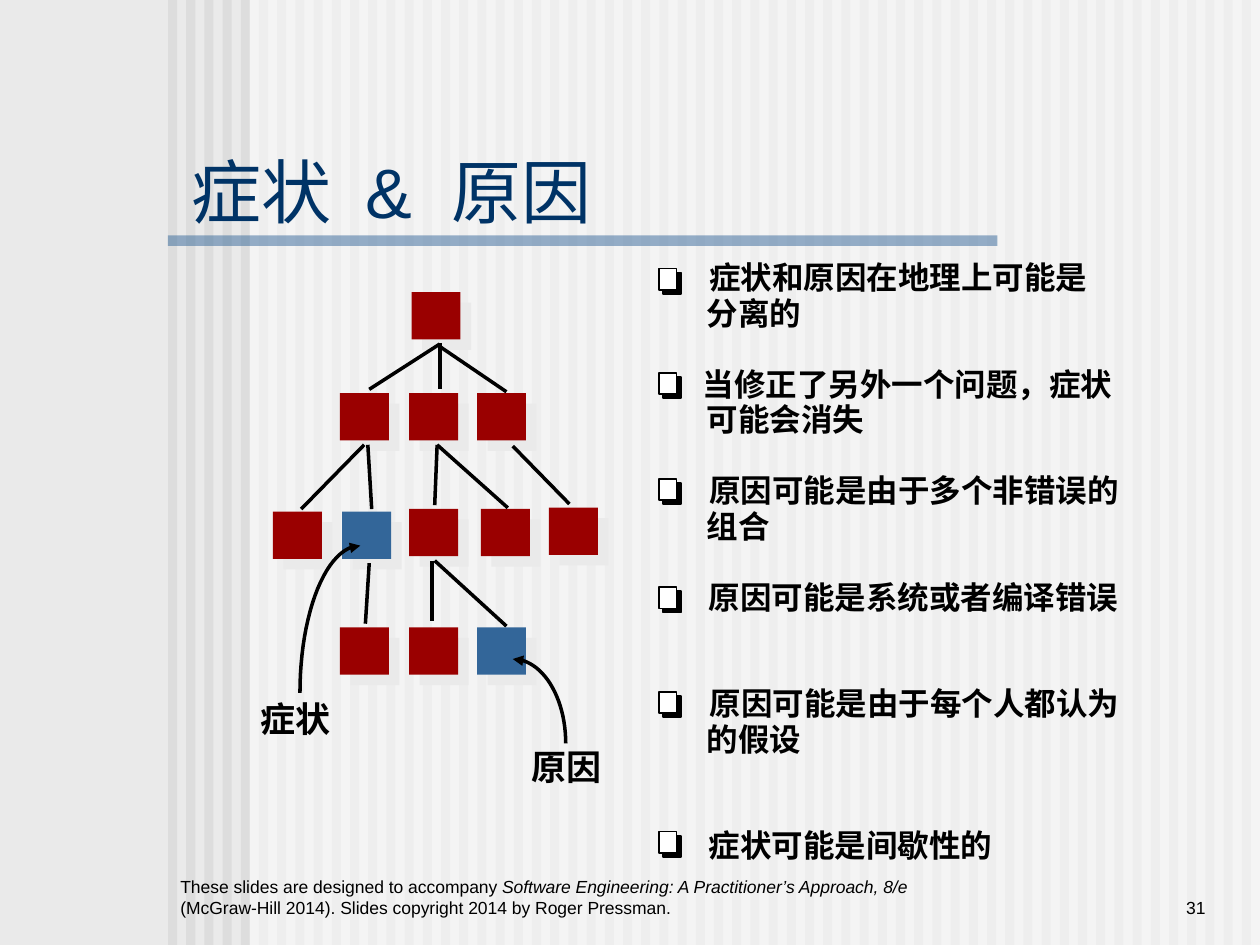
import math

from lxml import etree
from pptx import Presentation
from pptx.dml.color import RGBColor
from pptx.enum.shapes import MSO_CONNECTOR, MSO_SHAPE
from pptx.enum.text import MSO_ANCHOR, MSO_AUTO_SIZE, PP_ALIGN
from pptx.oxml.ns import qn
from pptx.util import Pt

RECT = MSO_SHAPE.RECTANGLE
STRAIGHT = MSO_CONNECTOR.STRAIGHT
TOP, MIDDLE, BOTTOM = MSO_ANCHOR.TOP, MSO_ANCHOR.MIDDLE, MSO_ANCHOR.BOTTOM
LEFT, RIGHT = PP_ALIGN.LEFT, PP_ALIGN.RIGHT
FIXED = MSO_AUTO_SIZE.NONE
FONT = "Arial"
COLORS = {
    "page": "EAEAEA", "stripe": "DDDDDD", "white": "FFFFFF", "black": "000000",
    "title": "003366", "blue": "336699", "red": "9A0000",
}


def rgb(name):
    return RGBColor.from_string(COLORS[name])


def add_rect(shapes, x, y, w, h, color, alpha=None, line=None):
    rect = shapes.add_shape(RECT, Pt(x), Pt(y), Pt(w), Pt(h))
    rect.shadow.inherit = False
    rect.fill.solid()
    rect.fill.fore_color.rgb = rgb(color)
    if line:
        rect.line.color.rgb = rgb(line)
        rect.line.width = Pt(1)
    else:
        rect.line.fill.background()
    if alpha:
        fill_color = rect.element.spPr.find(qn("a:solidFill"))[0]
        etree.SubElement(fill_color, qn("a:alpha"), val=str(alpha * 1000))
    return rect


def add_run(paragraph, text, size, color="black", bold=False, italic=False):
    run = paragraph.add_run()
    run.text = text
    run.font.name = FONT
    run.font.size = Pt(size)
    run.font.bold = bold
    run.font.italic = italic
    run.font.color.rgb = rgb(color)
    return run


def add_text(slide, x, y, w, h, parts, size, bold=False, wrap=False,
             anchor=TOP, align=LEFT):
    """Text box with one paragraph; parts are (text, italic) pairs."""
    frame = slide.shapes.add_textbox(Pt(x), Pt(y), Pt(w), Pt(h)).text_frame
    frame.word_wrap = wrap
    frame.vertical_anchor = anchor
    frame.paragraphs[0].alignment = align
    for text, italic in parts:
        add_run(frame.paragraphs[0], text, size, bold=bold, italic=italic)


def draw_backdrop(slide, left, top, width, height):
    slide.background.fill.solid()
    slide.background.fill.fore_color.rgb = rgb("page")
    backdrop = slide.shapes.add_group_shape().shapes
    for column in range(60):
        add_rect(backdrop, left + 10.4 * column, top, 5.2, height, "stripe")
    add_rect(backdrop, left + 46.6, top, width - 46.6, height, "white", alpha=50)
    # Rule under the title
    add_rect(backdrop, left, top + 134.5, 474, 6, "blue", alpha=50)


def place_title(slide, left, top, width, height):
    title = slide.shapes.title
    title.left, title.top = Pt(left), Pt(top)
    title.width, title.height = Pt(width), Pt(height)
    frame = title.text_frame
    frame.auto_size = FIXED
    frame.vertical_anchor = MIDDLE
    frame.paragraphs[0].alignment = LEFT
    for text in ("症状", " ", "&", " ", "原因"):
        run = add_run(frame.paragraphs[0], text, 40, "title")
        if text == " ":
            run.font.element.set("spc", "1100") if hasattr(run.font, "element") \
                else run._r.get_or_add_rPr().set("spc", "1100")
    # The title belongs in front of the backdrop
    title.element.getparent().append(title.element)


def add_node(slide, x, y, color):
    node = add_rect(slide.shapes, x, y, 28, 27, color)
    effects = node.element.spPr.find(qn("a:effectLst"))
    shadow = etree.SubElement(effects, qn("a:outerShdw"), blurRad="0",
                              dist=str(Pt(8.5)), dir="2700000", algn="ctr",
                              rotWithShape="0")
    etree.SubElement(shadow, qn("a:srgbClr"), val=COLORS["page"])


def add_branch(slide, x1, y1, x2, y2):
    branch = slide.shapes.add_connector(STRAIGHT, Pt(x1), Pt(y1), Pt(x2), Pt(y2))
    branch.line.color.rgb = rgb("black")
    branch.line.width = Pt(2)
    etree.SubElement(branch.element.spPr, qn("a:effectLst"))


def add_curved_arrow(slide, x1, y1, x2, y2, steps=24):
    """Quarter ellipse that leaves upwards and ends level, with an arrowhead."""
    angles = [math.pi / 2 * step / steps for step in range(steps + 1)]
    points = [(Pt(x2 + (x1 - x2) * math.cos(a)), Pt(y1 + (y2 - y1) * math.sin(a)))
              for a in angles]
    builder = slide.shapes.build_freeform(*points[0])
    builder.add_line_segments(points[1:], close=False)
    arrow = builder.convert_to_shape()
    arrow.shadow.inherit = False
    arrow.fill.background()
    arrow.line.color.rgb = rgb("black")
    arrow.line.width = Pt(2)
    etree.SubElement(arrow.line._get_or_add_ln(), qn("a:tailEnd"), type="triangle")


def draw_tree(slide, left, top):
    nodes = [
        (79.2, 0, "red"),
        (38.2, 57.6, "red"), (77.8, 57.6, "red"), (116.6, 57.6, "red"),
        (0, 125.3, "red"), (39.6, 125.3, "blue"), (77.8, 123.8, "red"),
        (118.8, 123.8, "red"), (157.7, 123.1, "red"),
        (38.2, 191.5, "red"), (77.8, 191.5, "red"), (116.6, 191.5, "blue"),
    ]
    branches = [
        (95.3, 29.6, 55, 55.5), (95.3, 29, 95.3, 55.5), (95.3, 31, 133.4, 56.9),
        (52.1, 87.2, 16.1, 123.9), (54.2, 87.2, 56.4, 123.9),
        (93.8, 87.2, 92.4, 121.7), (93.8, 87.2, 134.2, 123.2),
        (137, 87.9, 169.4, 121),
        (55, 154.8, 52.8, 189.4), (91, 153.4, 91, 188),
        (92.4, 153.4, 133.4, 190.8),
    ]
    arrows = [(15.4, 229, 49.9, 144.8), (167.3, 257.8, 137, 209.6)]
    labels = [("症状", -14.2, 228.3), ("原因", 140.6, 255.6)]
    for x, y, color in nodes:
        add_node(slide, left + x, top + y, color)
    for draw, lines in ((add_branch, branches), (add_curved_arrow, arrows)):
        for x1, y1, x2, y2 in lines:
            draw(slide, left + x1, top + y1, left + x2, top + y2)
    for label, x, y in labels:
        add_text(slide, left + x, top + y, 54.7, 31, [(label, False)], 20, bold=True)


def draw_points(slide, left, top):
    line_pitch = 20.28
    # First line on the line grid, marker top, text indent, lines of the point
    points = [
        (0, 9.4, 21.6, ["症状和原因在地理上可能是", "分离的"]),
        (3, 69.1, 18, ["当修正了另外一个问题，症状", "可能会消失"]),
        (6, 129.6, 21.6, ["原因可能是由于多个非错误的", "组合"]),
        (9, 191.5, 21.2, ["原因可能是系统或者编译错误"]),
        (12, 251.3, 21.8, ["原因可能是由于每个人都认为", "的假设"]),
        (16, 331.2, 21.2, ["症状可能是间歇性的"]),
    ]
    for first_line, marker_top, indent, lines in points:
        for number, line in enumerate(lines):
            x = left + (20.2 if number else indent)
            y = top + (first_line + number) * line_pitch
            add_text(slide, x, y, 18 * len(line) + 14.4, 28.8,
                     [(line, False)], 18, bold=True)
        marker = slide.shapes.add_group_shape().shapes
        for offset, color in ((2.4, "black"), (0, "white")):
            add_rect(marker, left + offset, top + marker_top + offset, 10.1, 12.2,
                     color, line="black")


def draw_footer(slide, left, top, height):
    credit = [
        ("These slides are designed to accompany ", False),
        ("Software Engineering: A Practitioner’s Approach, 8/e ", True),
        ("(McGraw-Hill 2014). Slides copyright 2014 by Roger Pressman.", False),
    ]
    add_text(slide, left, top, 432, height, credit, 10, wrap=True, anchor=BOTTOM)
    add_text(slide, left + 498, top, 102, height, [("31", False)], 10,
             wrap=True, anchor=BOTTOM, align=RIGHT)


def main():
    deck = Presentation()
    deck.slide_width, deck.slide_height = Pt(720), Pt(540)
    slide = deck.slides.add_slide(deck.slide_layouts[5])
    draw_backdrop(slide, 96, 0, 624, 540)
    draw_footer(slide, 96, 492, 36)
    place_title(slide, 102, 90, 458, 37.5)
    draw_tree(slide, 156, 167)
    draw_points(slide, 376.6, 144)
    deck.save("out.pptx")


if __name__ == "__main__":
    main()
